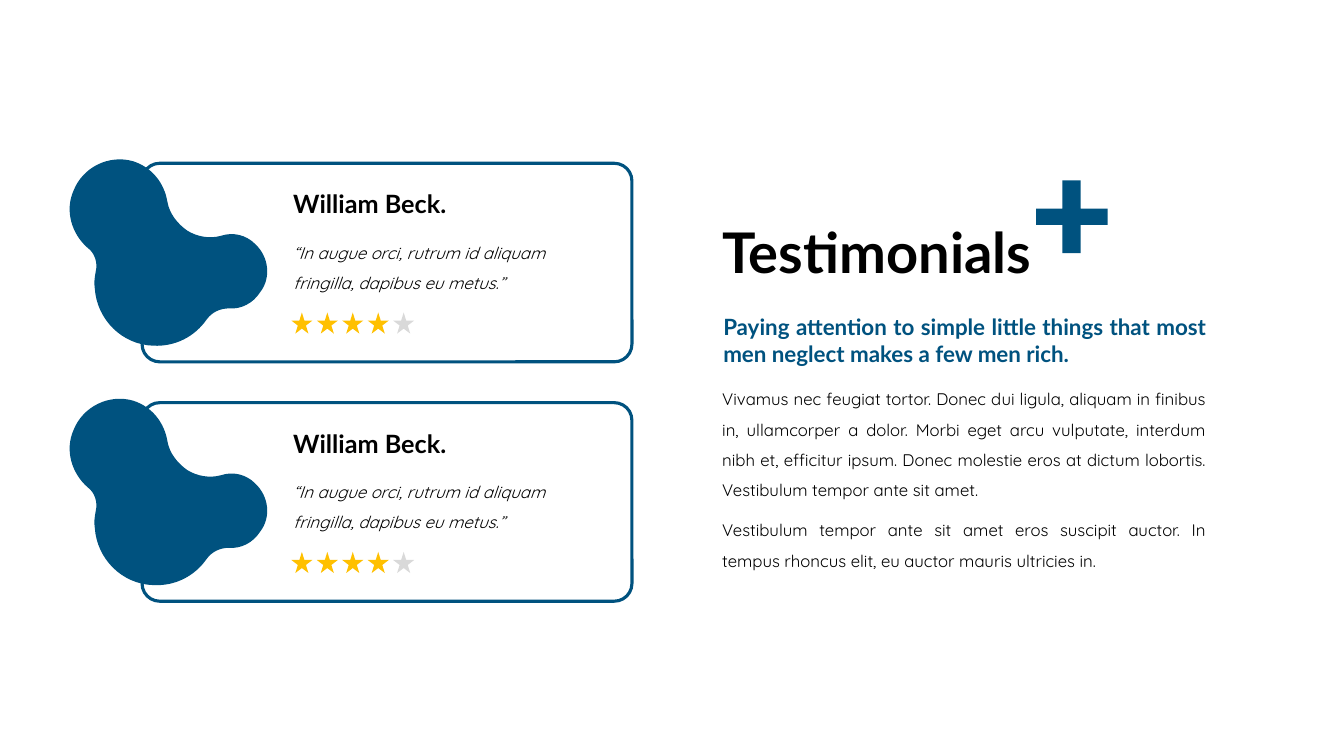
from lxml import etree
from pptx import Presentation, util as u
from pptx.dml.color import RGBColor
from pptx.enum import shapes, text
from pptx.oxml.ns import qn

# Content
TITLE = "Testimonials"
LEAD = "Paying attention to simple little things that most men neglect makes a few men rich."
VIVAMUS = ("Vivamus nec feugiat tortor. Donec dui ligula, aliquam in finibus in, "
           "ullamcorper a dolor. Morbi eget arcu vulputate, interdum nibh et, "
           "efficitur ipsum. Donec molestie eros at dictum lobortis. "
           "Vestibulum tempor ante sit amet.")
TEMPOR = ("Vestibulum tempor ante sit amet eros suscipit auctor. "
          "In tempus rhoncus elit, eu auctor mauris ultricies in.")
QUOTE = "“In augue orci, rutrum id aliquam fringilla, dapibus eu metus.”"
# Each card: name, quote, stars earned
CARDS = [("William Beck.", QUOTE, 4), ("William Beck.", QUOTE, 4)]

# Look
BLUE, BLACK, WHITE, GOLD, GREY = "00527F", "000000", "FFFFFF", "FFC000", "D9D9D9"
HEAD, TEXT = "Lato", "Quicksand"

# Grid: columns and rows of one inch
WIDE, HIGH = 40 / 3, 7.5
LEFT, SPAN = WIDE * 0.53, 5     # right-hand text column
CARD_X, CARD_Y, CARD_W, CARD_H = 1.41, 1.62, 4.86, 1.97
STEP_Y = 19 / 8                 # from card to card
STAR, STARS = 0.21, 5
STEP_X = 1.01 / (STARS - 1)     # from star to star
BLOB_X, BLOB_Y, BLOB_W, BLOB_H = 0.71, -0.16, 1.91, 2.05

# Blob relative to the card's top: start, then two controls and an end per curve
START = (2.27, 1.44)
CURVES = [
    ((2.39, 1.45), (2.51, 1.39), (2.58, 1.28)), ((2.69, 1.14), (2.67, 0.93), (2.53, 0.80)),
    ((2.44, 0.71), (2.31, 0.68), (2.19, 0.72)), ((2.08, 0.75), (1.96, 0.73), (1.86, 0.67)),
    ((1.76, 0.60), (1.68, 0.50), (1.66, 0.38)), ((1.63, 0.20), (1.51, 0.04), (1.32, -0.02)),
    ((1.08, -0.09), (0.82, 0.04), (0.73, 0.27)), ((0.64, 0.47), (0.71, 0.70), (0.87, 0.84)),
    ((0.94, 0.89), (0.97, 0.99), (0.95, 1.07)), ((0.94, 1.13), (0.93, 1.18), (0.94, 1.24)),
    ((0.96, 1.55), (1.21, 1.80), (1.52, 1.81)), ((1.74, 1.82), (1.93, 1.72), (2.05, 1.55)),
    ((2.10, 1.48), (2.18, 1.44), (2.27, 1.44)),
]

deck = Presentation()
deck.slide_width, deck.slide_height = u.Inches(WIDE), u.Inches(HIGH)
slide = deck.slides.add_slide(deck.slide_layouts[6])


def color(code):
    return RGBColor.from_string(code)


def paint(shape, fill, line=None, width=2.25):
    shape.shadow.inherit = False
    shape.fill.solid()
    shape.fill.fore_color.rgb = color(fill)
    if line:
        shape.line.color.rgb = color(line)
        shape.line.width = u.Pt(width)
    else:
        shape.line.fill.background()


def write(words, box, size, font=TEXT, ink=BLACK, bold=False, slant=False,
          align=None, gap=None, middle=False, grow=True):
    frame = slide.shapes.add_textbox(*map(u.Inches, box)).text_frame
    frame.word_wrap = True
    if grow:
        frame.auto_size = text.MSO_AUTO_SIZE.SHAPE_TO_FIT_TEXT
    frame.vertical_anchor = text.MSO_ANCHOR.MIDDLE if middle else text.MSO_ANCHOR.TOP
    para = frame.paragraphs[0]
    para.alignment, para.line_spacing = align, gap
    run = para.add_run()
    run.text = words
    face = run.font
    face.name, face.size, face.bold, face.italic = font, u.Pt(size), bold, slant
    face.color.rgb = color(ink)


def outline(dots, fill):
    dots = [(u.Inches(x), u.Inches(y)) for x, y in dots]
    pen = slide.shapes.build_freeform(*dots[0], scale=1.0)
    pen.add_line_segments(dots[1:], close=True)
    shape = pen.convert_to_shape()
    paint(shape, fill)
    return shape


def blob(top):
    # A box turned a quarter, whose straight sides give way to curves
    x0, y0 = BLOB_X, top + BLOB_Y
    x1, y1 = x0 + BLOB_W, y0 + BLOB_H
    shape = outline([(x0, y0), (x1, y0), (x1, y1), (x0, y1)], BLUE)
    shape.rotation = 90
    way = next(shape._element.iter(qn("a:path")))
    for part in list(way):
        way.remove(part)

    def add(tag, dots=()):
        step = etree.SubElement(way, qn(tag))
        for x, y in dots:
            # Turn each point back about the middle of the box
            dx, dy = x - BLOB_X - BLOB_W / 2, y - BLOB_Y - BLOB_H / 2
            etree.SubElement(step, qn("a:pt"), x=str(u.Inches(BLOB_W / 2 + dy)),
                             y=str(u.Inches(BLOB_H / 2 - dx)))

    add("a:moveTo", [START])
    for curve in CURVES:
        add("a:cubicBezTo", curve)
    add("a:close")


def card(top, name, quote, score):
    frame = slide.shapes.add_shape(shapes.MSO_SHAPE.ROUNDED_RECTANGLE,
                                   *map(u.Inches, (CARD_X, top, CARD_W, CARD_H)))
    frame.adjustments[0] = 0.089
    paint(frame, WHITE, BLUE)
    blob(top)
    inset = CARD_X + 1.4
    write(quote, (inset, top + 0.65, 3.32, 0.67), 12, slant=True, gap=1.5, middle=True)
    write(name, (inset, top + 0.2, 2.62, 0.4), 18, HEAD, bold=True, middle=True)
    group = slide.shapes.add_group_shape()
    for i in range(STARS):
        box = (inset + 0.08 + i * STEP_X, top + 1.48, STAR, STAR)
        star = group.shapes.add_shape(shapes.MSO_SHAPE.STAR_5_POINT, *map(u.Inches, box))
        paint(star, GOLD if i < score else GREY)


# Plus sign: outer edges and arm edges
x0, x1, x2, x3 = 10.28, 10.54, 10.72, 10.99
y0, y1, y2, y3 = 1.79, 2.07, 2.23, 2.51
outline([(x1, y0), (x2, y0), (x2, y1), (x3, y1), (x3, y2), (x2, y2),
         (x2, y3), (x1, y3), (x1, y2), (x0, y2), (x0, y1), (x1, y1)], BLUE)

# Right-hand column
both = text.PP_ALIGN.JUSTIFY
write(VIVAMUS, (LEFT, 3.71, SPAN, 1.31), 12, align=both, gap=1.5)
write(LEAD, (LEFT + 0.01, 3.06, SPAN - 0.01, 0.64), 16, HEAD, BLUE, bold=True, align=both)
write(TEMPOR, (LEFT, 5.01, SPAN, 0.71), 12, align=both, gap=1.5)

# Testimonial cards
for row, (name, quote, score) in enumerate(CARDS):
    card(CARD_Y + row * STEP_Y, name, quote, score)

# Title
write(TITLE, (LEFT, 1.81, 5.08, 1.45), 40, HEAD, bold=True, gap=0.9, middle=True, grow=False)

deck.save("out.pptx")
